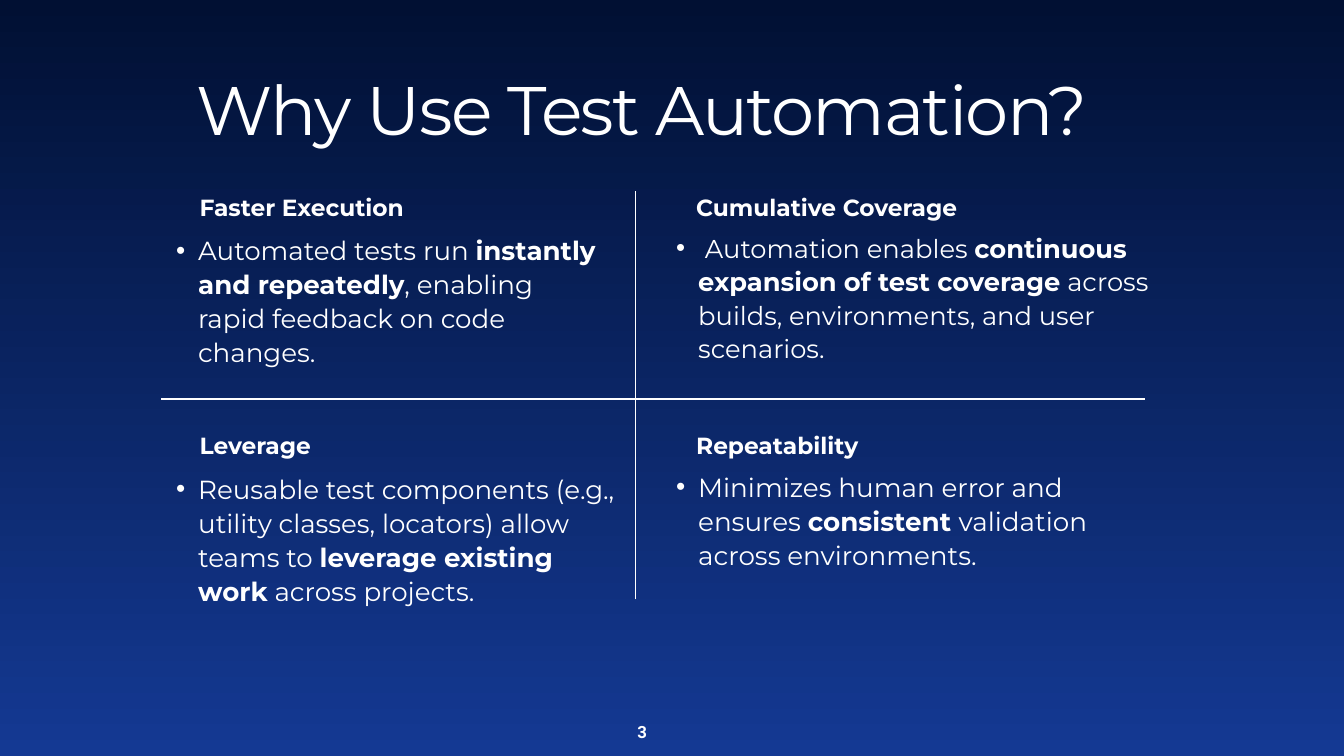
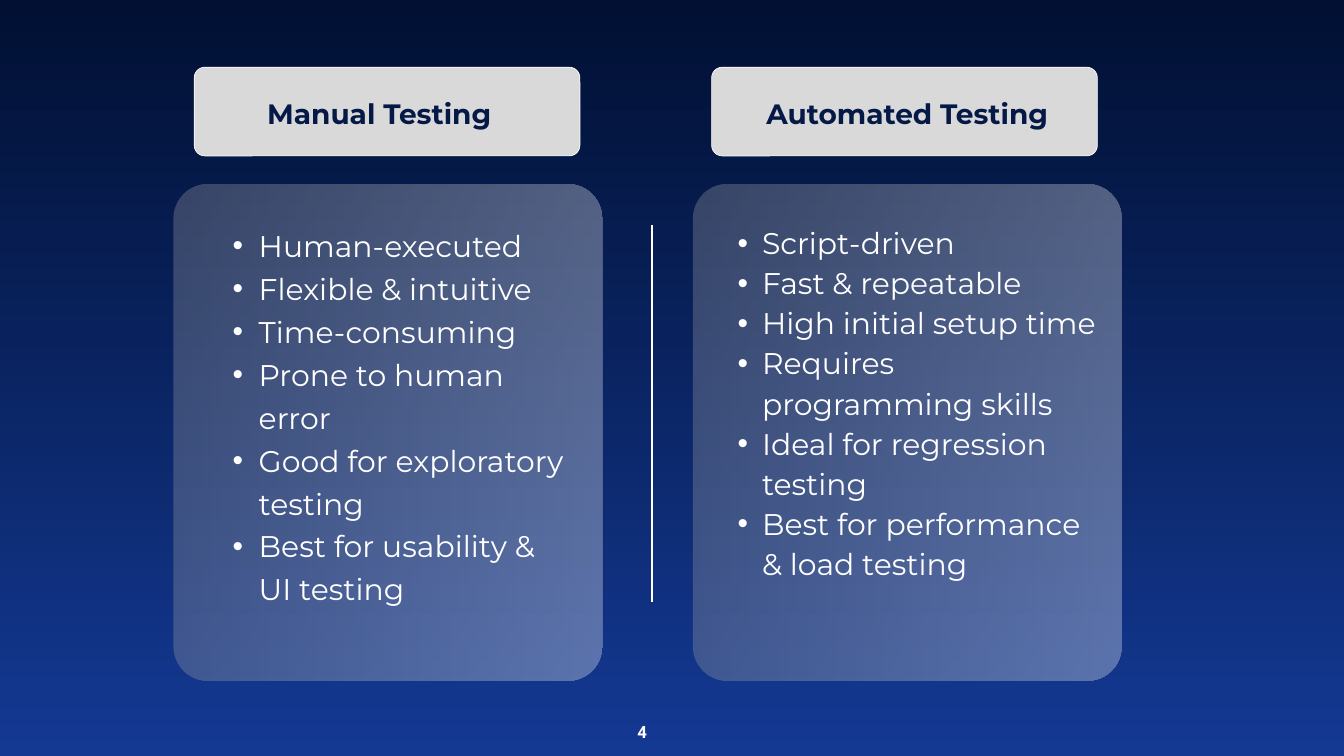
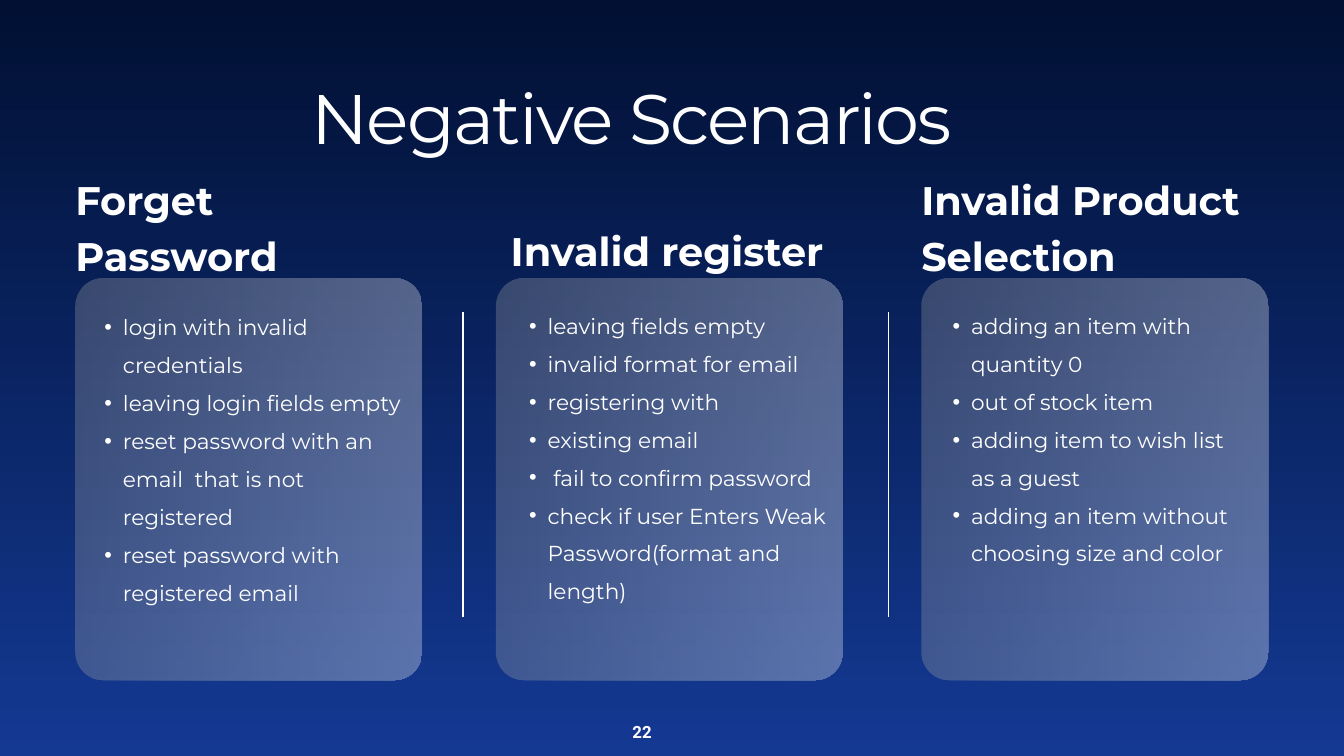
"""Build three slides on test automation with python-pptx."""
from dataclasses import dataclass

from lxml import etree
from pptx import Presentation
from pptx.dml.color import RGBColor
from pptx.enum.shapes import MSO_CONNECTOR, MSO_SHAPE
from pptx.enum.text import MSO_ANCHOR, MSO_AUTO_SIZE, PP_ALIGN
from pptx.oxml.ns import qn
from pptx.util import Inches, Pt

LEFT, CENTER = PP_ALIGN.LEFT, PP_ALIGN.CENTER
TOP, MIDDLE = MSO_ANCHOR.TOP, MSO_ANCHOR.MIDDLE
NO_AUTOFIT = MSO_AUTO_SIZE.NONE
ROUNDED = MSO_SHAPE.ROUNDED_RECTANGLE
STRAIGHT = MSO_CONNECTOR.STRAIGHT
COMPARISON_LAYOUT = 4


@dataclass(frozen=True)
class Theme:
    """Colours, fonts and type sizes shared by the slides."""
    night: str = "011033"
    royal: str = "143993"
    white: str = "FFFFFF"
    grey: str = "A6A6A6"
    caption_fill: str = "D9D9D9"
    caption_text: str = "051947"
    font: str = "Montserrat"
    number_font: str = "Roboto"
    number_size: float = 18
    heading_size: float = 25
    caption_size: float = 30
    card_heading_size: float = 42.7
    comparison_size: float = 32
    scenario_size: float = 23.2
    card_opacity: int = 31


THEME = Theme()

REASONS_TITLE = "Why Use Test Automation?"
REASONS = [
    ("Faster Execution", 28, 6.58,
     "Automated tests run **instantly and repeatedly**, enabling rapid feedback on code changes."),
    ("Cumulative Coverage", 27.6, 7.61,
     " Automation enables **continuous expansion of test coverage** across builds, "
     "environments, and user scenarios."),
    ("Leverage", 28, 6.9,
     "Reusable test components (e.g., utility classes, locators) allow teams to "
     "**leverage existing work** across projects."),
    ("Repeatability", 28.1, 6.52,
     "Minimizes human error and ensures **consistent **validation across environments."),
]

COMPARISON = [
    {"caption": "Manual Testing", "card_left": 2.58, "caption_left": 2.89, "inset": 1.04,
     "list_left": 3.07, "list_width": 5.38, "leading": 46, "indent": 0.39,
     "items": ["Human-executed", "Flexible & intuitive", "Time-consuming",
               "Prone to human error", "Good for exploratory testing",
               "Best for usability & UI testing"]},
    {"caption": "Automated Testing", "card_left": 10.31, "caption_left": 10.59, "inset": 0.77,
     "list_left": 10.61, "list_width": 5.81, "leading": 43, "indent": 0.365,
     "items": ["Script-driven", "Fast & repeatable", "High initial setup time",
               "Requires programming skills", "Ideal for regression testing",
               "Best for performance & load testing"]},
]

SCENARIOS_TITLE = "Negative Scenarios"
SCENARIOS = [
    {"heading": "Forget Password", "heading_box": (1.12, 2.5, 4.31, 1.61),
     "card_left": 1.12, "list_box": (1.28, 4.5, 4.73, 4.45),
     "items": ["login with invalid credentials", "leaving login fields empty",
               "reset password with an email  that is not registered",
               "reset password with registered email"]},
    {"heading": "Invalid register", "heading_box": (7.6, 3.26, 4.73, 0.79),
     "card_left": 7.38, "list_box": (7.6, 4.48, 4.75, 4.45),
     "items": ["leaving fields empty", "invalid format for email", "registering with",
               "existing email", " fail to confirm password",
               "check if user Enters Weak Password(format and length)"]},
    {"heading": "Invalid Product Selection", "heading_box": (13.71, 2.5, 5.16, 1.61),
     "card_left": 13.71, "list_box": (13.9, 4.48, 4.65, 3.9),
     "items": ["adding an item with quantity 0", "out of stock item",
               "adding item to wish list as a guest",
               "adding an item without choosing size and color"]},
]
SCENARIO_DIVIDERS = [6.89, 13.22]


def color(value):
    return RGBColor.from_string(value)


def inches(box):
    return [Inches(length) for length in box]


def add_bullet(paragraph, indent):
    properties = paragraph._p.get_or_add_pPr()
    properties.set("marL", str(Inches(2 * indent)))
    properties.set("indent", str(-Inches(indent)))
    etree.SubElement(properties, qn("a:buFont")).set("typeface", "Arial")
    etree.SubElement(properties, qn("a:buChar")).set("char", "•")


def write(shape, paragraphs, *, size, leading, bold=False, fill=THEME.white, font=THEME.font,
          align=LEFT, anchor=TOP, inset=0, indent=None, tracking=None):
    """Fill a shape with paragraphs; text between double asterisks is bold."""
    frame = shape.text_frame
    frame.word_wrap = True
    frame.auto_size = NO_AUTOFIT
    frame.vertical_anchor = anchor
    frame.margin_left = Inches(inset)
    frame.margin_right = frame.margin_top = frame.margin_bottom = 0
    for index, text in enumerate(paragraphs):
        paragraph = frame.add_paragraph() if index else frame.paragraphs[0]
        if indent:
            add_bullet(paragraph, indent)
        paragraph.alignment = align
        paragraph.line_spacing = Pt(leading)
        paragraph.space_before = paragraph.space_after = Pt(0)
        for position, part in enumerate(text.split("**")):
            run = paragraph.add_run()
            run.text = part
            run.font.size = Pt(size)
            run.font.name = font
            run.font.bold = bold or position % 2 == 1
            run.font.color.rgb = color(fill)
            if tracking:
                run._r.get_or_add_rPr().set("spc", str(round(tracking * 100)))


def add_text(slide, box, text, **text_format):
    write(slide.shapes.add_textbox(*inches(box)), [text], **text_format)


def fill_placeholder(slide, index, box, paragraphs, **text_format):
    """Move a placeholder to its box, above earlier shapes, and fill it."""
    placeholder = slide.placeholders[index]
    placeholder.left, placeholder.top, placeholder.width, placeholder.height = inches(box)
    slide.shapes._spTree.append(placeholder._element)
    write(placeholder, paragraphs, **text_format)


def add_title(slide, box, text, size, tracking):
    fill_placeholder(slide, 0, box, [text], size=size, leading=size * 1.2,
                     align=CENTER, tracking=tracking)


def add_line(slide, start, end, width=1.5):
    line = slide.shapes.add_connector(STRAIGHT, *inches(start + end))
    line.line.color.rgb = color(THEME.white)
    line.line.width = Pt(width)
    etree.SubElement(line._element.spPr, qn("a:effectLst"))


def set_gradient(fill, colors, angle):
    fill.gradient()
    fill.gradient_angle = angle
    for stop, value in zip(fill.gradient_stops, colors):
        stop.color.rgb = color(value)


def add_rounded(slide, box, corner):
    shape = slide.shapes.add_shape(ROUNDED, *inches(box))
    shape.adjustments[0] = corner
    shape.shadow.inherit = False
    return shape


def add_card(slide, box):
    card = add_rounded(slide, box, 0.08)
    set_gradient(card.fill, (THEME.grey, THEME.white), 0)
    for stop_color in card._element.spPr.iter(qn("a:srgbClr")):
        etree.SubElement(stop_color, qn("a:alpha")).set("val", str(THEME.card_opacity * 1000))
    card.line.fill.background()


def add_caption(slide, box, text, inset):
    caption = add_rounded(slide, box, 0.12)
    caption.fill.solid()
    caption.fill.fore_color.rgb = color(THEME.caption_fill)
    caption.line.color.rgb = color(THEME.white)
    caption.line.width = Pt(0.75)
    write(caption, [text], size=THEME.caption_size, leading=39, bold=True,
          fill=THEME.caption_text, anchor=MIDDLE, inset=inset)


def finish(slide, number):
    """Add the page number and remove placeholders left empty."""
    add_text(slide, (9.35, 10.72, 0.41, 0.32), number, size=THEME.number_size, leading=23.4,
             bold=True, font=THEME.number_font, align=CENTER)
    for placeholder in list(slide.placeholders):
        if not placeholder.text_frame.text:
            placeholder._element.getparent().remove(placeholder._element)


def build_reasons(slide):
    add_line(slide, (2.4, 5.94), (17.04, 5.94))
    add_line(slide, (9.46, 8.92), (9.46, 2.84))
    for index, (heading, size, width, text) in enumerate(REASONS):
        row, column = divmod(index, 2)
        heading_left = 2.97 + 7.39 * column
        heading_top = 2.8 + 3.54 * row
        list_left = 2.29 + 7.44 * column
        list_top = 3.45 + 3.55 * row - 0.03 * column
        add_text(slide, (heading_left, heading_top, 4.41, 0.45), heading,
                 size=THEME.heading_size, leading=35, bold=True)
        fill_placeholder(slide, index + 1, (list_left, list_top, width, 2.48), [text],
                         size=size, leading=size * 1.3, indent=0.33)
    add_title(slide, (2.12, 1, 14.86, 1.22), REASONS_TITLE, 73.5, -1.8)


def build_comparison(slide):
    add_line(slide, (9.7, 8.96), (9.7, 3.35), width=2.25)
    for index, side in enumerate(COMPARISON, start=1):
        add_card(slide, (side["card_left"], 2.74, 6.38, 7.39))
        add_caption(slide, (side["caption_left"], 1, 5.74, 1.32), side["caption"], side["inset"])
        fill_placeholder(slide, index, (side["list_left"], 3.28, side["list_width"], 5.76),
                         side["items"], size=THEME.comparison_size, leading=side["leading"],
                         indent=side["indent"])


def build_scenarios(slide):
    add_title(slide, (1.71, 1.11, 15.38, 1.26), SCENARIOS_TITLE, 75, -1.9)
    for left in SCENARIO_DIVIDERS:
        add_line(slide, (left, 9.18), (left, 4.64))
    for index, scenario in enumerate(SCENARIOS, start=1):
        add_card(slide, (scenario["card_left"], 4.14, 5.16, 5.98))
        add_text(slide, scenario["heading_box"], scenario["heading"],
                 size=THEME.card_heading_size, leading=59.8, bold=True)
        fill_placeholder(slide, index, scenario["list_box"], scenario["items"],
                         size=THEME.scenario_size, leading=40.6, indent=0.275)


def main():
    presentation = Presentation()
    presentation.slide_width, presentation.slide_height = Inches(20), Inches(11.25)
    set_gradient(presentation.slide_master.background.fill, (THEME.night, THEME.royal), 270)
    pages = [(build_reasons, "3"), (build_comparison, "4"), (build_scenarios, "22")]
    for build, number in pages:
        slide = presentation.slides.add_slide(presentation.slide_layouts[COMPARISON_LAYOUT])
        build(slide)
        finish(slide, number)
    presentation.save("out.pptx")


if __name__ == "__main__":
    main()
